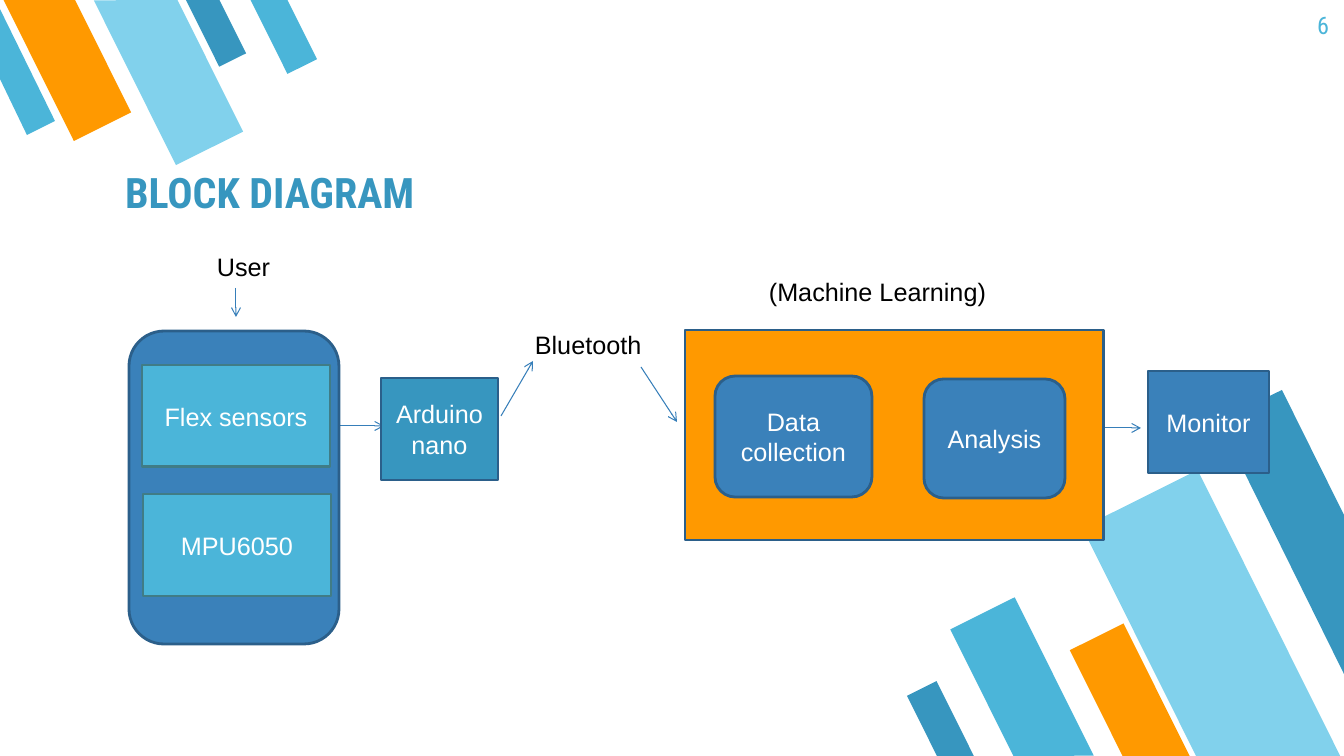
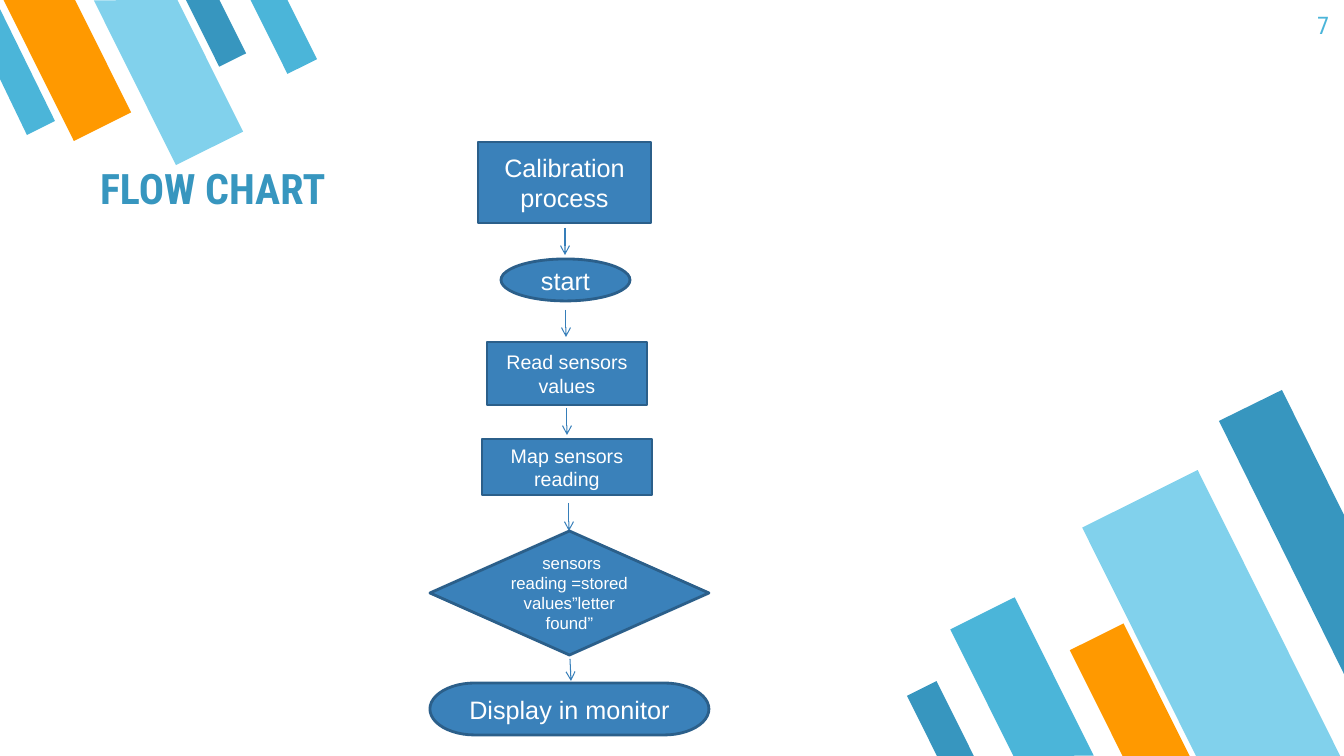
from dataclasses import dataclass

from pptx import Presentation
from pptx.dml.color import RGBColor
from pptx.enum.shapes import MSO_CONNECTOR, MSO_SHAPE
from pptx.enum.text import MSO_ANCHOR, MSO_AUTO_SIZE, PP_ALIGN
from pptx.oxml.ns import qn
from pptx.slide import Slide, SlideLayout
from pptx.text.text import TextFrame
from pptx.util import Pt
from lxml import etree

SCALE = 12192000 / 1344
RECT = MSO_SHAPE.RECTANGLE
ROUND = MSO_SHAPE.ROUNDED_RECTANGLE
OVAL = MSO_SHAPE.OVAL
STEP = MSO_SHAPE.FLOWCHART_PROCESS
CHOICE = MSO_SHAPE.FLOWCHART_DECISION
FINISH = MSO_SHAPE.FLOWCHART_TERMINATOR
SLANT = MSO_SHAPE.FLOWCHART_MANUAL_INPUT
STRAIGHT = MSO_CONNECTOR.STRAIGHT
LEFT, CENTER, RIGHT = PP_ALIGN.LEFT, PP_ALIGN.CENTER, PP_ALIGN.RIGHT
TOP, MIDDLE, BOTTOM = MSO_ANCHOR.TOP, MSO_ANCHOR.MIDDLE, MSO_ANCHOR.BOTTOM
FIXED = MSO_AUTO_SIZE.NONE

COLORS = {
    "sky": "4BB5D9",
    "pale": "81D1EC",
    "orange": "FF9900",
    "teal": "3796BF",
    "blue": "3A81BA",
    "edge": "2B5F8A",
    "moss": "407C86",
    "arrow": "367EB9",
    "white": "FFFFFF",
    "black": "000000",
}
BODY = "Arial"
HEAD = "Roboto Condensed"
PAD = 10
INDENT = 59

Area = tuple[int, int, int, int]
Point = tuple[int, int]


@dataclass(frozen=True)
class Stripe:
    area: Area
    fill: str
    turn: float


@dataclass(frozen=True)
class Corner:
    points: tuple[Point, ...]
    fill: str


@dataclass(frozen=True)
class Box:
    area: Area
    text: str = ""
    kind: MSO_SHAPE = RECT
    fill: str = "blue"
    edge: str = "edge"
    size: int = 18


@dataclass(frozen=True)
class Label:
    area: Area
    text: str
    align: PP_ALIGN = LEFT


@dataclass(frozen=True)
class Arrow:
    start: Point
    end: Point


@dataclass(frozen=True)
class Page:
    title: str
    area: Area
    number: str
    arrows: tuple[Arrow, ...]
    boxes: tuple[Box, ...]
    labels: tuple[Label, ...] = ()


LOW, HIGH = 153.5, 333.5
STRIPES = (
    Stripe((986, 604, 72, 177), "sky", LOW),
    Stripe((1147, 482, 129, 321), "pale", LOW),
    Stripe((1100, 629, 60, 149), "orange", LOW),
    Stripe((924, 684, 33, 84), "teal", LOW),
    Stripe((201, -11, 30, 75), "teal", HIGH),
    Stripe((35, -24, 64, 159), "orange", HIGH),
    Stripe((131, -26, 75, 184), "pale", HIGH),
    Stripe((267, -13, 33, 84), "sky", HIGH),
)
CORNERS = (
    Corner(((1282, 390), (1219, 421), (1344, 674), (1344, 515)), "teal"),
    Corner(((27, 135), (55, 121), (0, 9), (0, 79)), "sky"),
)

PAGES = (
    Page(
        "BLOCK DIAGRAM", (66, 127, 847, 100), "6",
        (
            Arrow((236, 288), (236, 317)),
            Arrow((340, 426), (384, 426)),
            Arrow((501, 416), (533, 361)),
            Arrow((641, 367), (677, 422)),
            Arrow((1104, 428), (1141, 428)),
        ),
        (
            Box((129, 331, 210, 313), kind=ROUND),
            Box((142, 365, 188, 102), "Flex sensors", fill="sky", edge="moss"),
            Box((143, 494, 188, 102), "MPU6050", fill="sky", edge="moss"),
            Box((381, 378, 117, 102), "Arduino nano", fill="teal"),
            Box((685, 330, 419, 210), fill="orange"),
            Box((715, 376, 157, 121), "Data collection", ROUND),
            Box((924, 379, 141, 119), "Analysis", ROUND),
            Box((1148, 371, 121, 102), "Monitor"),
        ),
        (
            Label((525, 324, 130, 40), "Bluetooth"),
            Label((759, 271, 240, 40), "(Machine Learning)"),
            Label((172, 246, 143, 40), "User", CENTER),
        ),
    ),
    Page(
        "FLOW CHART", (41, 155, 400, 68), "7",
        (
            Arrow((565, 228), (565, 255)),
            Arrow((566, 310), (566, 337)),
            Arrow((567, 408), (567, 435)),
            Arrow((569, 503), (569, 531)),
            Arrow((570, 659), (571, 681)),
        ),
        (
            Box((478, 142, 173, 81), "Calibration process"),
            Box((501, 259, 129, 42), "start", OVAL),
            Box((487, 342, 160, 63), "Read sensors values", STEP, size=14),
            Box((482, 439, 170, 56), "Map sensors reading", STEP, size=14),
            Box((430, 531, 279, 124),
                " sensors reading =stored values”letter found”", CHOICE, size=12),
            Box((430, 683, 279, 52), "Display in monitor", FINISH),
        ),
    ),
)


def px(value: float) -> int:
    return round(value * SCALE)


def place(area: Area) -> list[int]:
    return [px(side) for side in area]


def tint(name: str) -> RGBColor:
    return RGBColor.from_string(COLORS[name])


def write(frame: TextFrame, text: str, size: float, color: str,
          align: PP_ALIGN, anchor: MSO_ANCHOR, face: str = BODY) -> None:
    frame.text = text
    frame.word_wrap = True
    frame.auto_size = FIXED
    frame.vertical_anchor = anchor
    line = frame.paragraphs[0]
    line.alignment = align
    line.font.name = face
    line.font.size = Pt(size)
    line.font.color.rgb = tint(color)


def inset(frame: TextFrame, left: int = PAD) -> None:
    frame.margin_left = px(left)
    frame.margin_top = frame.margin_right = frame.margin_bottom = px(PAD)


def adorn(slide: Slide, layout: SlideLayout) -> None:
    bands = []
    for stripe in STRIPES:
        band = slide.shapes.add_shape(SLANT, *place(stripe.area))
        band.rotation = stripe.turn
        band.element.spPr.find(qn("a:xfrm")).set("flipH", "1")
        bands.append((band, stripe.fill))
    for corner in CORNERS:
        first, *rest = corner.points
        maker = slide.shapes.build_freeform(*first, scale=SCALE)
        maker.add_line_segments(rest, close=True)
        bands.append((maker.convert_to_shape(), corner.fill))
    tree = layout.shapes.element
    for order, (band, fill) in enumerate(bands):
        band.shadow.inherit = False
        band.fill.solid()
        band.fill.fore_color.rgb = tint(fill)
        band.line.fill.background()
        band.element.xpath("./p:nvSpPr/p:cNvPr")[0].set("id", str(100 + order))
        tree.insert(2 + order, band.element)


def head(slide: Slide, page: Page) -> None:
    title = slide.shapes.title
    title.left, title.top, title.width, title.height = place(page.area)
    frame = title.text_frame
    write(frame, page.title, 30, "teal", LEFT, BOTTOM, HEAD)
    frame.paragraphs[0].font.bold = True
    inset(frame, PAD + INDENT - PAD)
    number = slide.shapes.add_textbox(*place((1258, 0, 81, 57))).text_frame
    write(number, page.number, 17.3, "sky", RIGHT, TOP, HEAD)
    inset(number)


def link(slide: Slide, arrow: Arrow) -> None:
    line = slide.shapes.add_connector(
        STRAIGHT, *place((*arrow.start, *arrow.end)))
    line.line.color.rgb = tint("arrow")
    line.line.width = Pt(0.75)
    props = line.element.spPr
    etree.SubElement(props.find(qn("a:ln")), qn("a:tailEnd"), type="arrow")
    etree.SubElement(props, qn("a:effectLst"))


def block(slide: Slide, box: Box) -> None:
    shape = slide.shapes.add_shape(box.kind, *place(box.area))
    shape.shadow.inherit = False
    shape.fill.solid()
    shape.fill.fore_color.rgb = tint(box.fill)
    shape.line.color.rgb = tint(box.edge)
    shape.line.width = Pt(2)
    if box.text:
        write(shape.text_frame, box.text, box.size, "white", CENTER, MIDDLE)


def note(slide: Slide, label: Label) -> None:
    frame = slide.shapes.add_textbox(*place(label.area)).text_frame
    write(frame, label.text, 18, "black", label.align, TOP)


def main() -> None:
    deck = Presentation()
    deck.slide_width, deck.slide_height = px(1344), px(756)
    layout = deck.slide_layouts.get_by_name("Title Only")
    for order, page in enumerate(PAGES):
        slide = deck.slides.add_slide(layout)
        if order == 0:
            adorn(slide, layout)
        head(slide, page)
        for arrow in page.arrows:
            link(slide, arrow)
        for box in page.boxes:
            block(slide, box)
        for label in page.labels:
            note(slide, label)
    deck.save("out.pptx")


if __name__ == "__main__":
    main()
